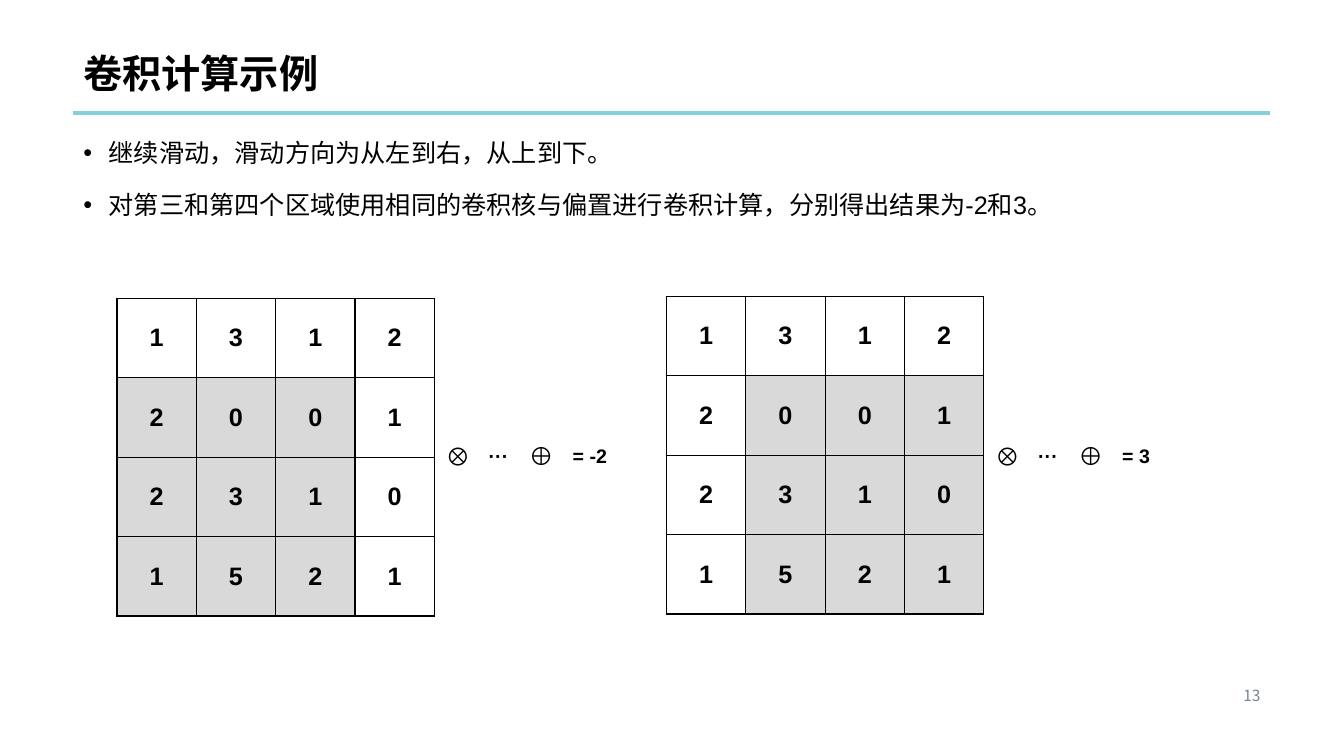
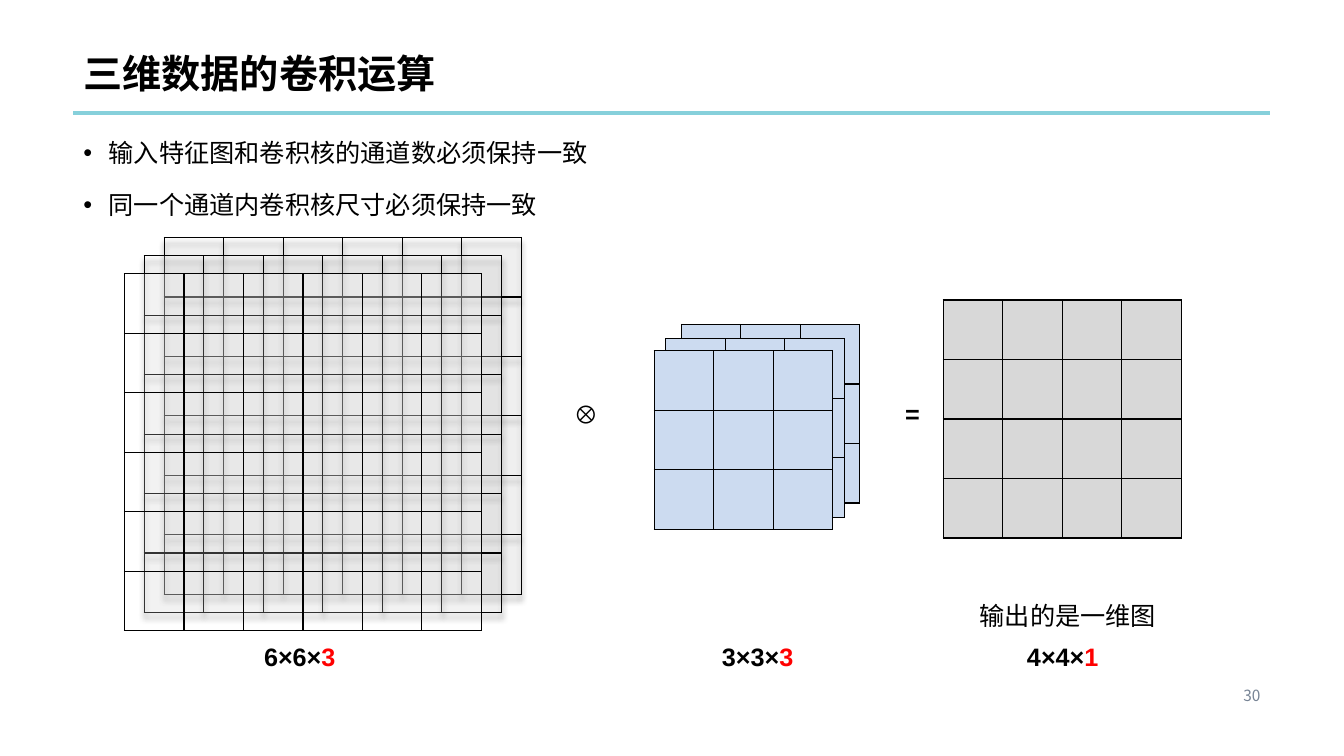
"""Two slides on convolution: a sliding-window example and multi-channel convolution."""
import pptx
import pptx.util
import pptx.dml.color
import pptx.enum.shapes
import pptx.enum.text
import pptx.oxml
import pptx.oxml.ns
from lxml import etree

Pt = pptx.util.Pt
RGBColor = pptx.dml.color.RGBColor
PP_ALIGN = pptx.enum.text.PP_ALIGN
MSO_ANCHOR = pptx.enum.text.MSO_ANCHOR
qn = pptx.oxml.ns.qn

BLACK = RGBColor(0x00, 0x00, 0x00)
WHITE = RGBColor(0xFF, 0xFF, 0xFF)
RED = RGBColor(0xFF, 0x00, 0x00)
TEAL = RGBColor(0x86, 0xD0, 0xDB)
SLATE = RGBColor(0x76, 0x83, 0x94)
WINDOW_GRAY = RGBColor(0xD9, 0xD9, 0xD9)
OUTPUT_GRAY = RGBColor(0xD8, 0xD8, 0xD8)
KERNEL_BLUE = RGBColor(0xCC, 0xDB, 0xF0)

FONT = "Arial"
NUMBER_FONT = "Noto Sans CJK SC"
LEFT, RIGHT = 52.5, 907.5
A_NS = 'xmlns:a="http://schemas.openxmlformats.org/drawingml/2006/main"'
BORDER = (f'<a:%s {A_NS} w="12700"><a:solidFill><a:srgbClr val="000000"/></a:solidFill>'
          '<a:prstDash val="solid"/></a:%s>')
SHADOW = (f'<a:effectLst {A_NS}><a:outerShdw blurRad="50800" dist="50800" dir="5400000">'
          '<a:srgbClr val="000000"><a:alpha val="40000"/></a:srgbClr></a:outerShdw></a:effectLst>')


def add_text(sl, x, y, w, h, lines, size=18, bold=False, color=BLACK, font=FONT, wrap=False):
    """Add a text box; each line is a list of (text, colour) runs or a plain string."""
    tf = sl.shapes.add_textbox(Pt(x), Pt(y), Pt(w), Pt(h)).text_frame
    tf.word_wrap = wrap
    for i, line in enumerate(lines):
        p = tf.paragraphs[0] if i == 0 else tf.add_paragraph()
        for text, tint in [(line, color)] if isinstance(line, str) else line:
            r = p.add_run()
            r.text = text
            r.font.name = font
            r.font.size = Pt(size)
            r.font.bold = bold
            r.font.color.rgb = tint
            etree.SubElement(r._r.get_or_add_rPr(), qn("a:ea")).set("typeface", font)
    return tf


def add_grid(sl, x, y, n, side, fill, values=None, window=None, opacity=None, shadow=False):
    """Add a square n-by-n table; window limits the fill to some (row, column) cells."""
    table = sl.shapes.add_table(n, n, Pt(x), Pt(y), Pt(n * side), Pt(n * side)).table
    table.first_row = table.horz_banding = False
    if shadow:
        table._tbl.tblPr.insert(0, pptx.oxml.parse_xml(SHADOW))
    for i in range(n):
        table.columns[i].width = table.rows[i].height = Pt(side)
        for j in range(n):
            cell = table.cell(i, j)
            tcPr = cell._tc.get_or_add_tcPr()
            for tag in ("lnL", "lnR", "lnT", "lnB"):
                tcPr.append(pptx.oxml.parse_xml(BORDER % (tag, tag)))
            cell.fill.solid()
            cell.fill.fore_color.rgb = fill if window is None or (i, j) in window else WHITE
            if opacity:
                clr = tcPr.find(qn("a:solidFill")).find(qn("a:srgbClr"))
                etree.SubElement(clr, qn("a:alpha")).set("val", str(opacity * 1000))
            if values:
                cell.vertical_anchor = MSO_ANCHOR.MIDDLE
                p = cell.text_frame.paragraphs[0]
                p.text = str(values[i][j])
                p.alignment = PP_ALIGN.CENTER
                f = p.runs[0].font
                f.name, f.size, f.bold = FONT, Pt(18), True
                f.color.rgb = BLACK


prs = pptx.Presentation()
prs.slide_width, prs.slide_height = Pt(960), Pt(540)

PAGES = [
    ("卷积计算示例", "13",
     ["继续滑动，滑动方向为从左到右，从上到下。",
      "对第三和第四个区域使用相同的卷积核与偏置进行卷积计算，分别得出结果为-2和3。"]),
    ("三维数据的卷积运算", "30",
     ["输入特征图和卷积核的通道数必须保持一致",
      "同一个通道内卷积核尺寸必须保持一致"]),
]
slides = []
for title, number, bullets in PAGES:
    sl = prs.slides.add_slide(prs.slide_layouts[6])
    slides.append(sl)

    rule = sl.shapes.add_connector(pptx.enum.shapes.MSO_CONNECTOR.STRAIGHT,
                                   Pt(LEFT), Pt(81), Pt(RIGHT), Pt(81))
    rule.line.color.rgb = TEAL
    rule.line.width = Pt(3)
    etree.SubElement(rule._element.spPr, qn("a:effectLst"))

    tf = add_text(sl, 789, 486.7, RIGHT - 789, 21, [number], 11, color=SLATE,
                  font=NUMBER_FONT, wrap=True)
    tf.paragraphs[0].alignment = PP_ALIGN.RIGHT

    tf = add_text(sl, LEFT, 0, RIGHT - LEFT, 72.7, [title], 28, bold=True, wrap=True)
    tf.vertical_anchor = MSO_ANCHOR.BOTTOM
    tf.paragraphs[0].line_spacing = 0.9

    tf = add_text(sl, LEFT, 89.3, RIGHT - LEFT, 394.5, bullets, wrap=True)
    for i, p in enumerate(tf.paragraphs):
        pPr = p._p.get_or_add_pPr()
        pPr.set("marL", str(Pt(18)))
        pPr.set("indent", str(-Pt(18)))
        etree.SubElement(pPr, qn("a:buFont")).set("typeface", FONT)
        etree.SubElement(pPr, qn("a:buChar")).set("char", "•")
        p.line_spacing = 1.25
        if i:
            p.space_before = Pt(10)

example, channels = slides

FEATURE_MAP = [[1, 3, 1, 2], [2, 0, 0, 1], [2, 3, 1, 0], [1, 5, 2, 1]]
for x, y, first_col, result in [(83.5, 213.2, 0, "= -2"), (476, 211.8, 1, "= 3")]:
    window = {(i, j) for i in range(1, 4) for j in range(first_col, first_col + 3)}
    add_grid(example, x, y, 4, 56.7, WINDOW_GRAY, FEATURE_MAP, window)
    for dx, text in [(227.5, "⊗"), (287, "⊕")]:
        add_text(example, x + dx, 311, 31, 29, [text], wrap=True)
    for dx, w, text in [(258.5, 29, "···"), (318.5, 41, result)]:
        add_text(example, x + dx, 313.2, w, 24.5, [text], 14, bold=True)

CELL = 42.5
for i in range(3):
    add_grid(channels, 117.3 - 14.2 * i, 169.6 + 13 * i, 6, CELL, WHITE,
             opacity=20, shadow=i < 2)
for x, y in [(486.7, 231.8), (475.5, 241.9), (467.3, 250.6)]:
    add_grid(channels, x, y, 3, CELL, KERNEL_BLUE)
add_grid(channels, 673.7, 214.3, 4, CELL, OUTPUT_GRAY)

add_text(channels, 402.5, 281, 31, 29, ["⊗"], wrap=True)
add_text(channels, 639.5, 281, 25, 29, ["="], bold=True)
for x, size, depth in [(181.5, "6×6×", "3"), (508.5, "3×3×", "3"), (726.5, "4×4×", "1")]:
    add_text(channels, x, 454.5, 73, 29, [[(size, BLACK), (depth, RED)]], bold=True)
add_text(channels, 692.7, 425, 142, 29, ["输出的是一维图"])

prs.save("out.pptx")
